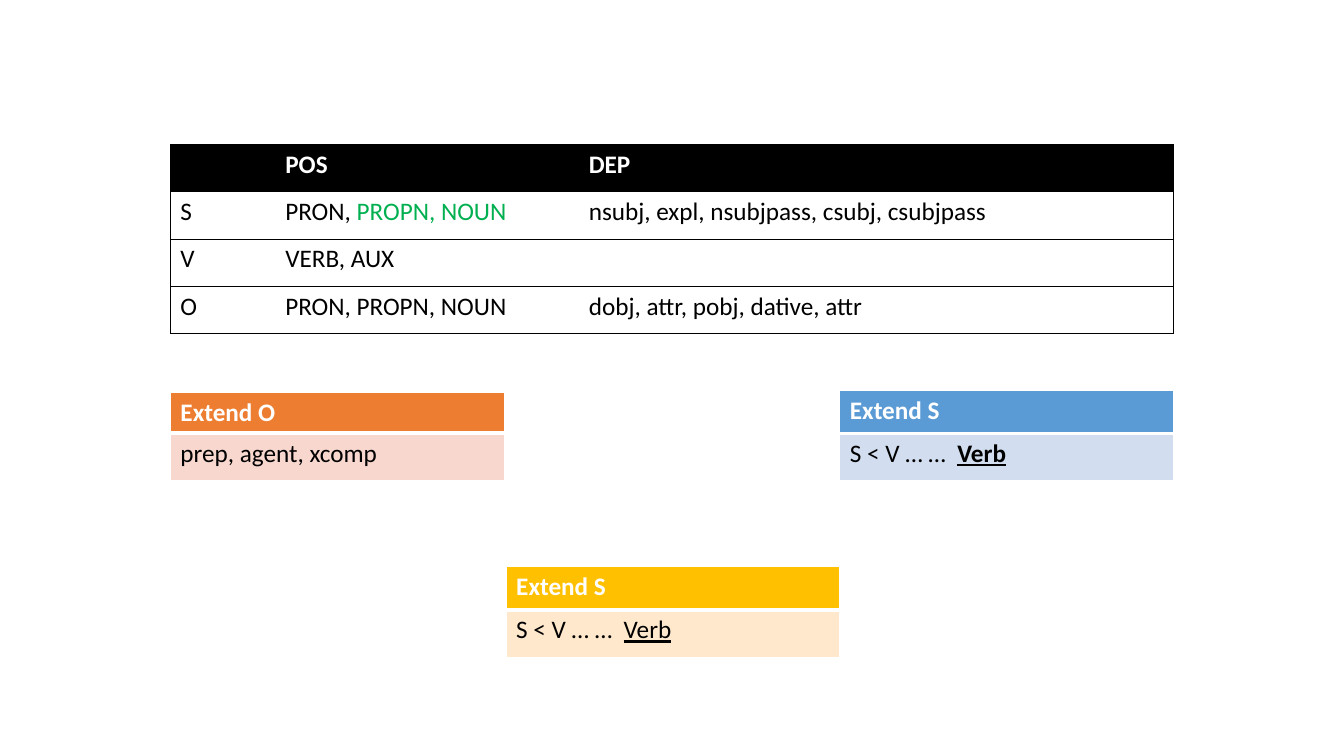
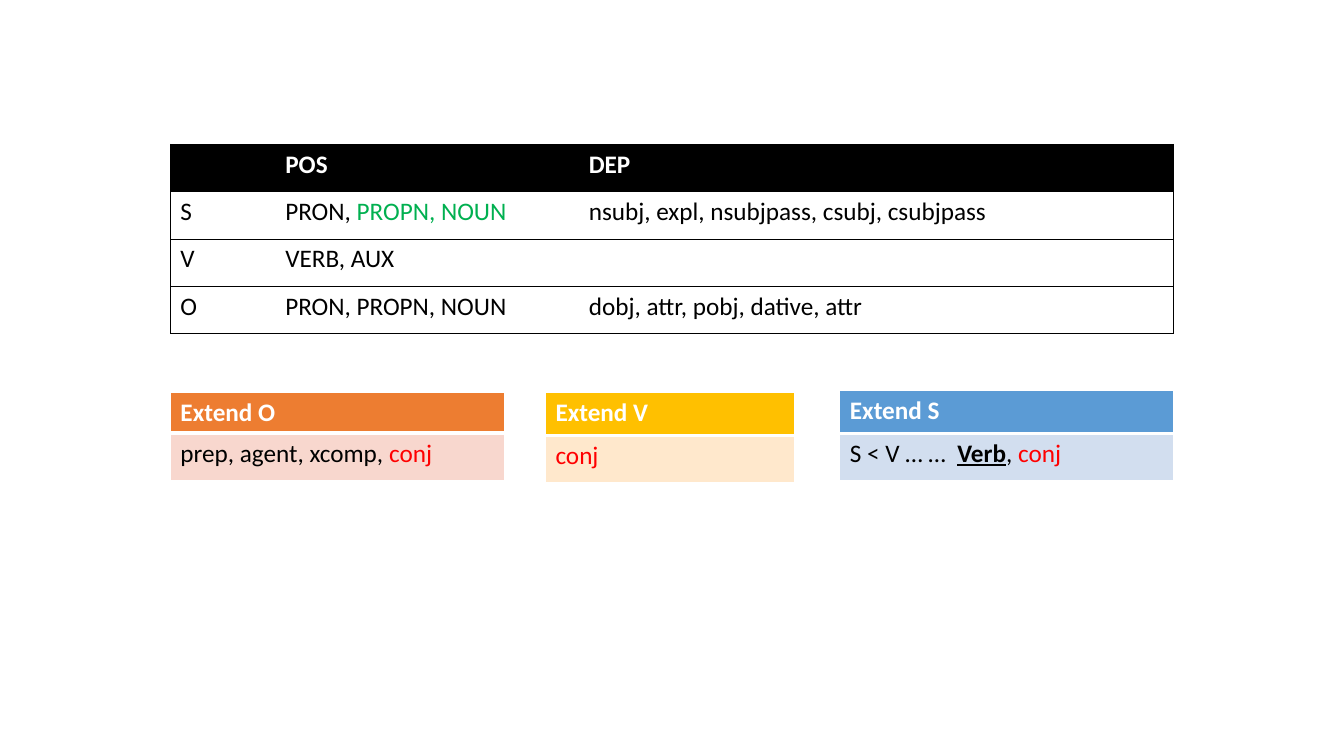
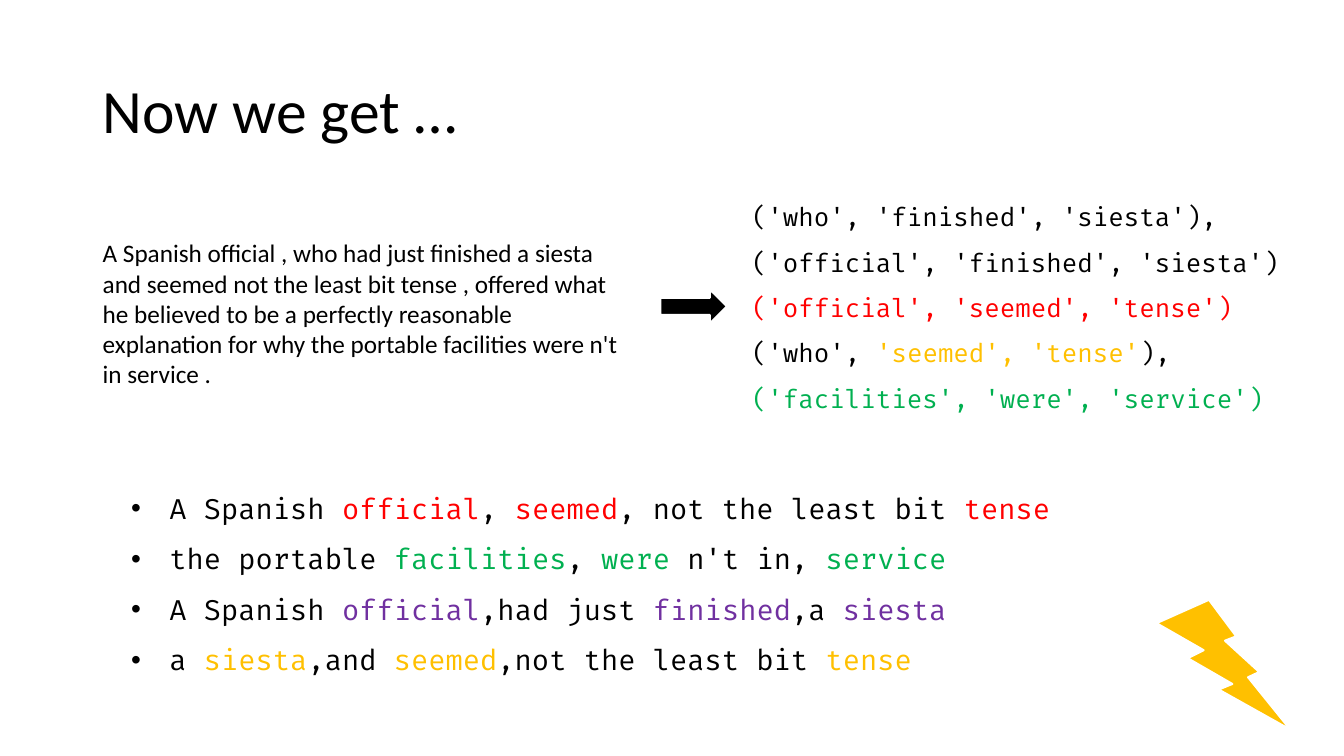
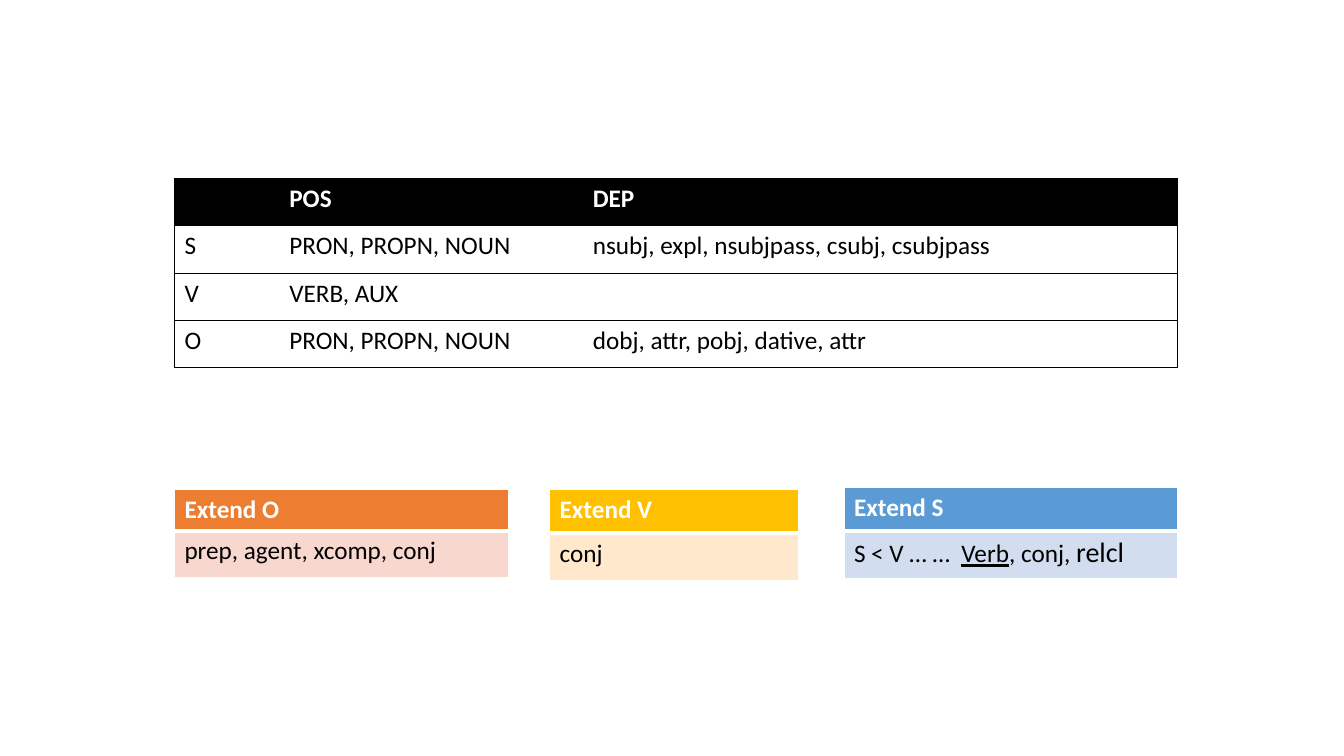
from lxml import etree
from pptx import Presentation
from pptx.dml.color import RGBColor
from pptx.enum.shapes import MSO_SHAPE
from pptx.enum.text import MSO_ANCHOR, MSO_AUTO_SIZE, PP_ALIGN
from pptx.oxml.ns import qn
from pptx.util import Inches, Pt

# Shared style
RIGHT_ARROW, LIGHTNING = MSO_SHAPE.RIGHT_ARROW, MSO_SHAPE.LIGHTNING_BOLT
MIDDLE, TOP = MSO_ANCHOR.MIDDLE, MSO_ANCHOR.TOP
LEFT, NO_AUTOFIT = PP_ALIGN.LEFT, MSO_AUTO_SIZE.NONE
TITLE_AND_BODY, BLANK = 1, 6
SANS, MONO = "Calibri", "Fira Code"
BLACK, WHITE = "000000", "FFFFFF"
RED, GREEN, PURPLE, GOLD = "FF0000", "00B050", "7030A0", "FFC000"
ORANGE_BAND = ("ED7D31", "F8D7CE")
BLUE_BAND = ("5B9BD5", "D2DEEF")
GOLD_BAND = (GOLD, "FFE8CC")
ROW_HEIGHT = 0.47
RULE_COLUMNS = (1.04, 3.01, 5.9)


def rgb(value):
    return RGBColor.from_string(value)


def box(left, top, width, height):
    return [Inches(v) for v in (left, top, width, height)]


class Deck:
    """Holds the style and the current slide."""

    def __init__(self):
        self.prs = Presentation()
        self.prs.slide_width = Inches(13.33)
        self.prs.slide_height = Inches(7.5)
        self.slide = None

    def new_slide(self, layout=BLANK):
        self.slide = self.prs.slides.add_slide(self.prs.slide_layouts[layout])

    def add_runs(self, paragraph, runs, size=18, font=SANS, color=BLACK, bold=False, **layout):
        """Fill a paragraph; a run is a string or (string, changed formats)."""
        for name, value in layout.items():
            setattr(paragraph, name, value)
        for item in [runs] if isinstance(runs, str) else runs:
            text, changes = (item, {}) if isinstance(item, str) else item
            formats = {"size": size, "name": font, "bold": bold, "color": color, **changes}
            run = paragraph.add_run()
            run.text = text
            run.font.color.rgb = rgb(formats.pop("color"))
            formats["size"] = Pt(formats["size"])
            for name, value in formats.items():
                setattr(run.font, name, value)

    def fill_frame(self, frame, paragraphs, anchor=TOP, **style):
        for name, value in {"word_wrap": True, "auto_size": NO_AUTOFIT,
                            "vertical_anchor": anchor}.items():
            setattr(frame, name, value)
        for i, runs in enumerate(paragraphs):
            paragraph = frame.add_paragraph() if i else frame.paragraphs[0]
            self.add_runs(paragraph, runs, **style)

    def place(self, shape, bounds):
        for name, value in zip(("left", "top", "width", "height"), box(*bounds)):
            setattr(shape, name, value)

    def title(self, text, bounds):
        title = self.slide.shapes.title
        self.place(title, bounds)
        self.fill_frame(title.text_frame, [text], anchor=MIDDLE, size=44,
                        alignment=LEFT, line_spacing=0.9)

    def bullets(self, items, bounds, **style):
        body = self.slide.placeholders[1]
        self.place(body, bounds)
        self.fill_frame(body.text_frame, items, space_before=Pt(0), **style)
        for paragraph in body.text_frame.paragraphs:
            props = paragraph._p.get_or_add_pPr()
            props.set("marL", str(Inches(0.38)))
            props.set("indent", str(-Inches(0.38)))
            etree.SubElement(props, qn("a:buFont")).set("typeface", "Arial")
            etree.SubElement(props, qn("a:buChar")).set("char", "•")

    def text(self, paragraphs, bounds, **style):
        frame = self.slide.shapes.add_textbox(*box(*bounds)).text_frame
        self.fill_frame(frame, paragraphs, **style)

    def shape(self, preset, bounds, fill):
        shape = self.slide.shapes.add_shape(preset, *box(*bounds))
        shape.shadow.inherit = False
        shape.fill.solid()
        shape.fill.fore_color.rgb = rgb(fill)
        shape.line.color.rgb = rgb(WHITE)
        shape.line.width = Pt(1.5)

    def borders(self, cell, sides):
        """Draw the sides L, R, T, B, each (colour, points) or None."""
        props = cell._tc.get_or_add_tcPr()
        for side in "LRTB":
            line = etree.SubElement(props, qn(f"a:ln{side}"))
            if sides[side] is None:
                etree.SubElement(line, qn("a:noFill"))
                continue
            color, width = sides[side]
            line.set("w", str(Pt(width)))
            solid = etree.SubElement(line, qn("a:solidFill"))
            etree.SubElement(solid, qn("a:srgbClr")).set("val", color)

    def table(self, rows, left, top, widths, heights, fills, edge, header_rule):
        """Header row plus body rows, with horizontal rules and an outer frame."""
        table = self.slide.shapes.add_table(
            len(rows), len(widths), *box(left, top, sum(widths), sum(heights))).table
        table.first_row = table.horz_banding = False
        for column, width in zip(table.columns, widths):
            column.width = Inches(width)
        for r, row in enumerate(rows):
            table.rows[r].height = Inches(heights[r])
            for c, runs in enumerate(row):
                cell = table.cell(r, c)
                self.borders(cell, {
                    "L": edge if c == 0 else None,
                    "R": edge if c == len(widths) - 1 else None,
                    "T": header_rule if r == 1 else edge,
                    "B": header_rule if r == 0 else edge})
                cell.fill.solid()
                cell.fill.fore_color.rgb = rgb(fills[min(r, 1)])
                if runs:
                    self.add_runs(cell.text_frame.paragraphs[0], runs,
                                  color=BLACK if r else WHITE, bold=r == 0)

    def rules(self, left, top, subject_pos):
        """Tags and dependencies of subject, verb and object."""
        rows = [("", "POS", "DEP"),
                ("S", subject_pos, "nsubj, expl, nsubjpass, csubj, csubjpass"),
                ("V", "VERB, AUX", ""),
                ("O", "PRON, PROPN, NOUN", "dobj, attr, pobj, dative, attr")]
        edge = (BLACK, 0.5)
        self.table(rows, left, top, RULE_COLUMNS, [ROW_HEIGHT] * len(rows),
                   (BLACK, WHITE), edge, edge)

    def extension(self, heading, runs, left, top, band, width=3.31, head=0.43):
        self.table([[heading], [runs]], left, top, [width], [head, ROW_HEIGHT],
                   band, (WHITE, 1), (WHITE, 3))

    def extend_object(self, runs, left, top):
        self.extension("Extend O", runs, left, top, ORANGE_BAND, head=0.4)

    def extend_subject(self, runs, left, top):
        self.extension("Extend S", runs, left + 6.64, top - 0.02, BLUE_BAND)

    def extend_verb(self, runs, left, top):
        self.extension("Extend V", runs, left + 3.72, top, GOLD_BAND, width=2.47)


def tinted(color, *parts):
    """Runs that alternate between plain and coloured, plain first."""
    return [(part, {"color": color}) if i % 2 else part for i, part in enumerate(parts)]


def main():
    deck = Deck()
    subject_pos = tinted(GREEN, "PRON,", " PROPN, NOUN")
    before_verb = "S < V … …  "
    verb = ("Verb", {"underline": True})
    strong_verb = ("Verb", {"underline": True, "bold": True})
    red_conj = ("conj", {"color": RED})
    left, rules_top, extend_top = 1.69, 1.43, 3.89

    # Slide 1: first rules
    deck.new_slide()
    deck.rules(left, rules_top, subject_pos)
    deck.extend_object("prep, agent, xcomp", left, extend_top)
    deck.extend_subject([before_verb, strong_verb], left, extend_top)
    deck.extension("Extend S", [before_verb, verb], 5.02, 5.62, GOLD_BAND)

    # Slide 2: conjunctions added
    deck.new_slide()
    deck.rules(left, rules_top, subject_pos)
    deck.extend_object(["prep, agent, xcomp, ", red_conj], left, extend_top)
    deck.extend_subject([before_verb, strong_verb, ", ", red_conj], left, extend_top)
    deck.extend_verb([red_conj], left, extend_top)

    # Slide 3: sentence, triples and extended triples
    deck.new_slide(TITLE_AND_BODY)
    deck.title("Now we get …", (0.92, 0.4, 11.5, 1.45))
    deck.text([
        "('who', 'finished', 'siesta'),",
        "('official', 'finished', 'siesta')",
        [("('official', 'seemed', 'tense')", {"color": RED})],
        tinted(GOLD, "('who', ", "'seemed', 'tense'", "),"),
        [("('facilities', 'were', 'service')", {"color": GREEN})],
    ], (7.36, 1.8, 5.76, 2.34), font=MONO, line_spacing=1.5)
    deck.bullets([
        tinted(RED, "A Spanish ", "official", ", ", "seemed",
               ", not the least bit ", "tense"),
        tinted(GREEN, "the portable ", "facilities", ", ", "were ", "n't in, ", "service"),
        tinted(PURPLE, "A Spanish ", "official", ",had just ", "finished", ",a ", "siesta"),
        tinted(GOLD, "a ", "siesta", ",and ", "seemed", ",not the least bit ", "tense"),
    ], (1.2, 4.66, 11.77, 2.08), size=20, font=MONO, line_spacing=1.5)
    deck.text([
        "A Spanish official , who had just finished a siesta and seemed not the least "
        "bit tense , offered what he believed to be a perfectly reasonable explanation "
        "for why the portable facilities were n't in service ."
    ], (0.92, 2.31, 5.48, 1.62))
    deck.shape(RIGHT_ARROW, (6.55, 2.87, 0.66, 0.34), BLACK)
    deck.shape(LIGHTNING, (11.47, 5.95, 1.33, 1.29), GOLD)

    # Slide 4: final rules
    left, rules_top, extend_top = 1.73, 1.77, 4.86
    deck.new_slide()
    deck.rules(left, rules_top, "PRON, PROPN, NOUN")
    deck.extend_object("prep, agent, xcomp, conj", left, extend_top)
    deck.extend_subject([before_verb, verb, ", conj, ", ("relcl", {"size": 20})],
                        left, extend_top)
    deck.extend_verb("conj", left, extend_top)

    deck.prs.save("out.pptx")


if __name__ == "__main__":
    main()
